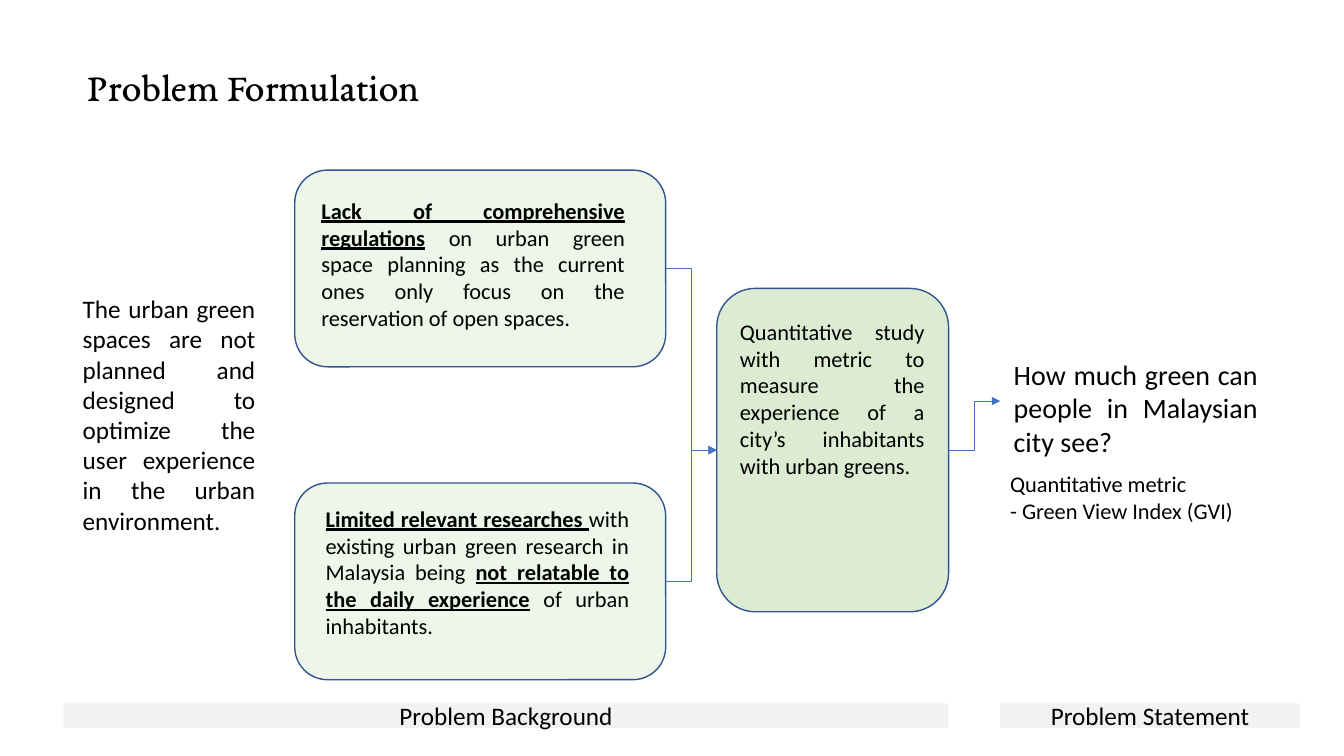
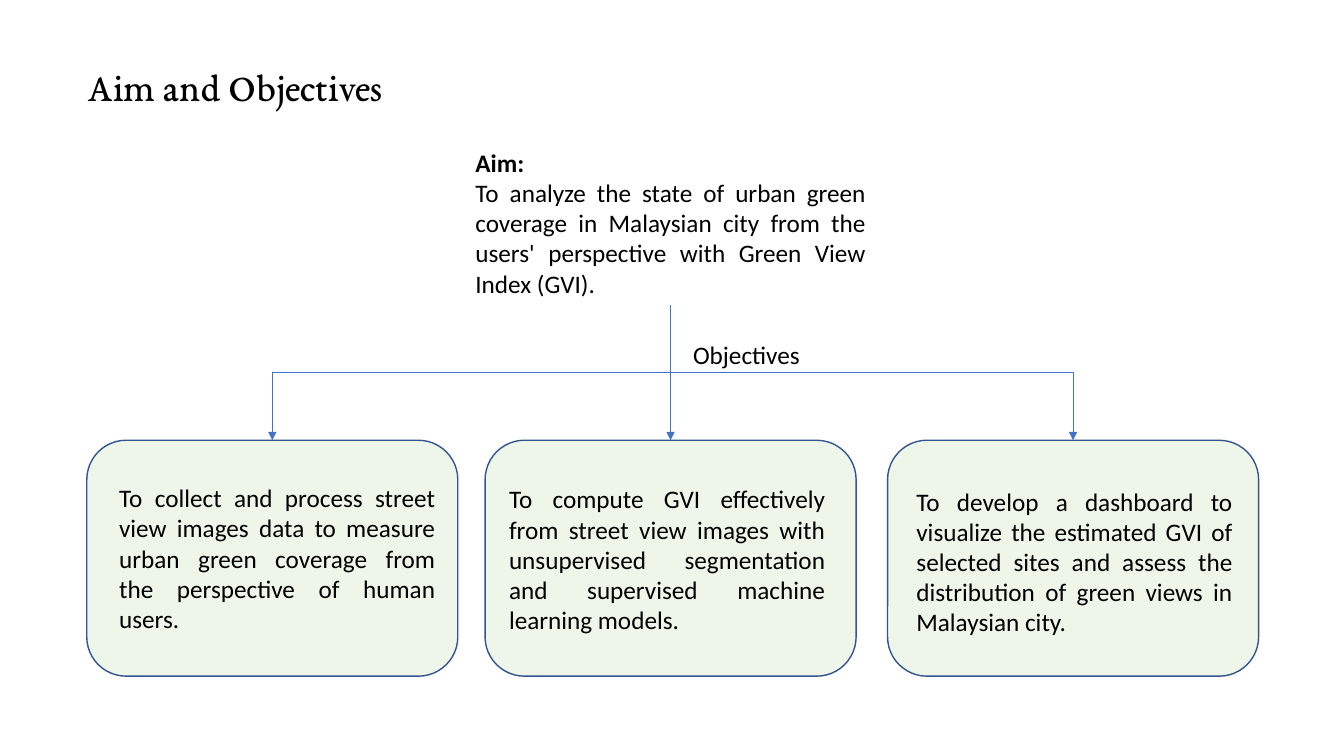
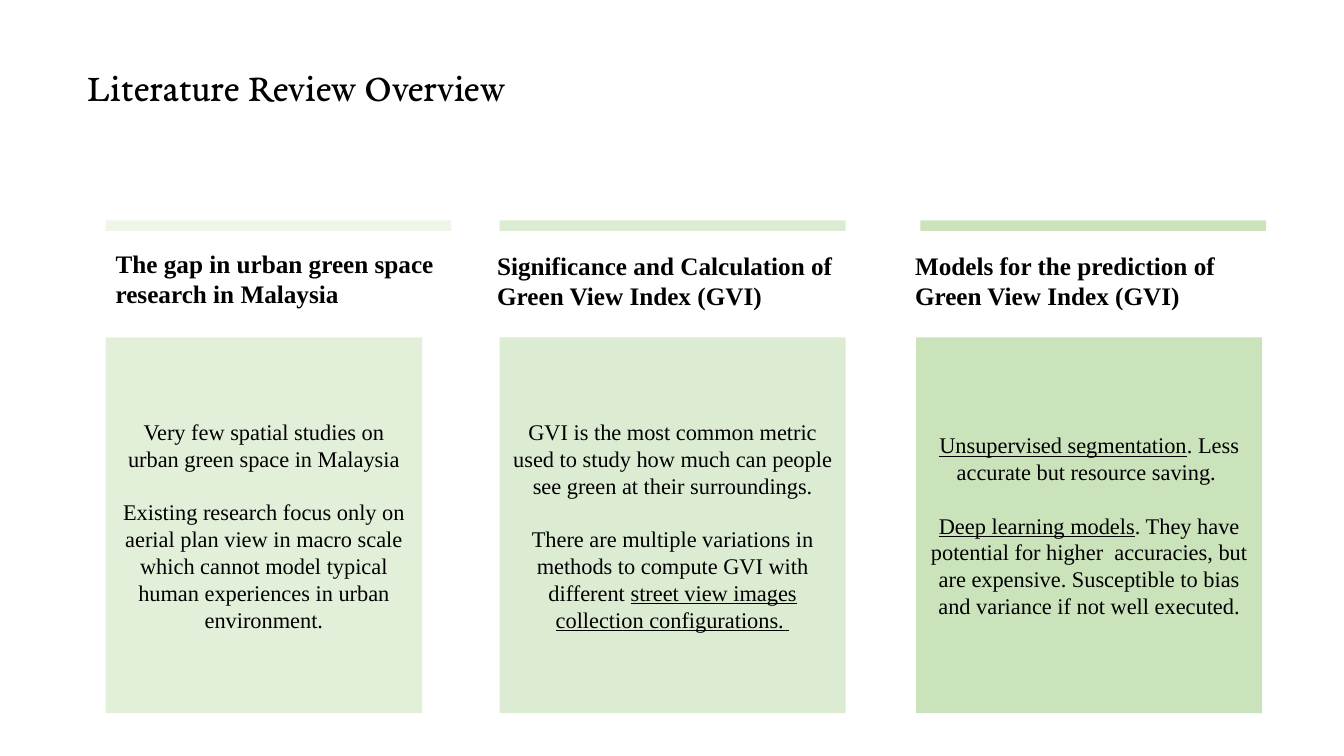
"""Build three slides on a Green View Index study of urban greenery."""
from lxml.etree import SubElement
from pptx import Presentation
from pptx.dml.color import RGBColor as RGB
from pptx.enum.shapes import MSO_CONNECTOR as CONN, MSO_SHAPE as SHAPE
from pptx.enum.text import MSO_ANCHOR as ANCHOR, MSO_AUTO_SIZE as FIT, PP_ALIGN as ALIGN
from pptx.oxml.ns import qn
from pptx.util import Pt

COLORS = {
    "text": "000000", "outline": "325491", "arrow": "4472C4", "label": "F2F2F2",
    "pale": "E2F0D9", "light": "C5E0B4", "mid": "A9D18E",
}
TITLE = {"name": "EB Garamond", "size": Pt(28)}
SMALL = {"name": "Calibri", "size": Pt(16)}
BODY = {"name": "Calibri", "size": Pt(18)}
LARGE = {"name": "Calibri", "size": Pt(20)}
SERIF = {"name": "Times New Roman", "size": Pt(16)}
HEADING = {"name": "Times New Roman", "size": Pt(18), "bold": True}
STRONG = {"bold": True, "underline": True}
UNDER = {"underline": True}
BOLD = {"bold": True}


def rgb(name):
    """Return a palette colour."""
    return RGB.from_string(COLORS[name])


def write(tf, paragraphs, fmt, align=ALIGN.LEFT, gap=0):
    """Fill a text frame; each paragraph is a list of (text, extra format) runs."""
    tf.word_wrap = True
    for i, runs in enumerate(paragraphs):
        p = tf.add_paragraph() if i else tf.paragraphs[0]
        p.alignment = align
        if i and gap:
            p.space_before = Pt(gap)
        for text, extra in runs:
            r = p.add_run()
            r.text = text
            for key, value in {**fmt, **extra}.items():
                setattr(r.font, key, value)
            r.font.color.rgb = rgb("text")


def add_text(s, box, paragraphs, fmt, align=ALIGN.JUSTIFY):
    """Add a wrapped text box that grows with its text."""
    sp = s.shapes.add_textbox(*map(Pt, box))
    write(sp.text_frame, paragraphs, fmt, align)
    sp.text_frame.auto_size = FIT.SHAPE_TO_FIT_TEXT
    return sp


def add_box(s, kind, box, color, alpha=None, outline=False):
    """Add a filled shape, optionally translucent or outlined."""
    sp = s.shapes.add_shape(kind, *map(Pt, box))
    sp.shadow.inherit = False
    sp.fill.solid()
    sp.fill.fore_color.rgb = rgb(color)
    if alpha:
        clr = sp._element.spPr.find(qn("a:solidFill")).find(qn("a:srgbClr"))
        SubElement(clr, qn("a:alpha"), val=str(alpha * 1000))
    if outline:
        sp.line.color.rgb = rgb("outline")
        sp.line.width = Pt(1)
    else:
        sp.line.fill.background()
    return sp


def add_card(s, box, color="pale"):
    """Add a translucent rounded card."""
    return add_box(s, SHAPE.ROUNDED_RECTANGLE, box, color, 60, True)


def add_arrow(s, kind, start, end):
    """Add a thin connector with an arrowhead at its end."""
    c = s.shapes.add_connector(kind, *map(Pt, (*start, *end)))
    c.line.color.rgb = rgb("arrow")
    c.line.width = Pt(0.5)
    SubElement(c.line._get_or_add_ln(), qn("a:tailEnd"), type="triangle")
    SubElement(c._element.spPr, qn("a:effectLst"))
    return c


def add_drop(s, start, end):
    """Add an elbow arrow that leaves downward, crosses over and drops."""
    (x0, y0), (x1, y1) = start, end
    cx, cy = (x0 + x1) / 2, (y0 + y1) / 2
    half_w, half_h = (y1 - y0) / 2, abs(x1 - x0) / 2
    side = 1 if x1 < x0 else -1
    c = add_arrow(s, CONN.ELBOW, (cx - side * half_w, cy - half_h),
                  (cx + side * half_w, cy + half_h))
    c.rotation = 90 if side == 1 else 270


def add_slide(prs, title):
    """Add a slide with the shared title style."""
    s = prs.slides.add_slide(prs.slide_layouts[5])
    sp = s.shapes.title
    sp.left, sp.top, sp.width, sp.height = map(Pt, (55.5, 40.5, 601, 41))
    write(sp.text_frame, [[(title, {})]], TITLE)
    sp.text_frame.auto_size = FIT.NONE
    sp.text_frame.vertical_anchor = ANCHOR.MIDDLE
    return s


def add_label(s, x, w, text):
    """Add a grey section label along the foot of the slide."""
    sp = add_box(s, SHAPE.RECTANGLE, (x, 502.5, w, 17.5), "label")
    write(sp.text_frame, [[(text, {})]], BODY, ALIGN.CENTER)
    sp.text_frame.vertical_anchor = ANCHOR.MIDDLE


def problem_slide(prs):
    """Build the flow from background problems to the problem statement."""
    s = add_slide(prs, "Problem Formulation")
    add_text(s, (52, 206, 137.5, 181.5), [[(
        "The urban green spaces are not planned and designed to optimize the user "
        "experience in the urban environment. ", {})]], BODY)
    study_x, study_y, study_w, study_h = study_box = (512, 206, 165.6, 231)
    study_mid = study_y + study_h / 2
    study = add_card(s, study_box, "light")
    add_text(s, (study_x + 9.5, study_y + 17.5, 146, 124), [[(
        "Quantitative study with metric to measure the experience of a city’s "
        "inhabitants with urban greens. ", {})]], SMALL)
    causes = [
        (121.5, 12, 15.5, [
            ("Lack of comprehensive regulations", STRONG), (" ", BOLD),
            ("on urban green space planning as the current ones only focus on the "
             "reservation of open spaces. ", {})]),
        (345, 15, 12, [
            ("Limited relevant researches ", STRONG),
            ("with existing urban green research in Malaysia being ", {}),
            ("not relatable to the daily experience", STRONG),
            (" of urban inhabitants. ", {})]),
    ]
    x, w, h = 210.5, 265, 140.5
    for y, dx, dy, runs in causes:
        card = add_card(s, (x, y, w, h))
        add_text(s, (x + dx, y + dy, 231, 104.5), [runs], SMALL)
        c = add_arrow(s, CONN.ELBOW, (x + w, y + h / 2), (study_x, study_mid))
        c.begin_connect(card, 3)
        c.end_connect(study, 1)
    c = add_arrow(s, CONN.ELBOW, (study_x + study_w, study_mid), (714.5, 286.5))
    c.begin_connect(study, 3)
    add_text(s, (717, 251.5, 188.5, 80),
             [[("How much green can people in Malaysian city see? ", {})]], LARGE)
    add_text(s, (714.5, 332, 201.5, 46),
             [[("Quantitative metric", {})], [("- Green View Index (GVI)", {})]],
             SMALL, ALIGN.LEFT)
    add_label(s, 45.5, 632, "Problem Background")
    add_label(s, 714.5, 214, "Problem Statement")


def aim_slide(prs):
    """Build the tree from the aim to its three objectives."""
    s = add_slide(prs, "Aim and Objectives")
    x, y, w, h = 332.5, 101.5, 293, 116.5
    aim = add_text(s, (x, y, w, h), [[("Aim:", BOLD)], [(
        "To analyze the state of urban green coverage in Malaysian city from the "
        "users' perspective with Green View Index (GVI). ", {})]], BODY)
    root = (x + w / 2, y + h)
    objectives = [
        (62, 16, 26.5, "To collect and process street view images data to measure urban "
         "green coverage from the perspective of human users. "),
        (346.5, 10, 27.5, "To compute GVI effectively from street view images with "
         "unsupervised segmentation and supervised machine learning models. "),
        (634, 13.5, 29, "To develop a dashboard to visualize the estimated GVI of selected "
         "sites and assess the distribution of green views in Malaysian city."),
    ]
    card_y, card_w, card_h = 314.5, 265, 168.5
    for card_x, dx, dy, text in objectives:
        card = add_card(s, (card_x, card_y, card_w, card_h))
        add_text(s, (card_x + dx, card_y + dy, 240, 116.5), [[(text, {})]], BODY)
        tip = (card_x + card_w / 2, card_y)
        if abs(tip[0] - root[0]) < 1:
            c = add_arrow(s, CONN.STRAIGHT, root, tip)
            c.begin_connect(aim, 2)
            c.end_connect(card, 0)
        else:
            add_drop(s, root, tip)
    add_text(s, (488, 239, 93.5, 29), [[("Objectives", {})]], BODY, ALIGN.LEFT)


def add_topic(s, bar, heading, card, title, paragraphs, color, alpha):
    """Add a review column: colour bar, heading and text card."""
    add_box(s, SHAPE.RECTANGLE, bar, color, 60)
    add_text(s, heading, [[(title, {})]], HEADING, ALIGN.LEFT)
    sp = add_box(s, SHAPE.RECTANGLE, card, color, alpha)
    write(sp.text_frame, paragraphs, SERIF, ALIGN.CENTER, gap=19)
    sp.text_frame.vertical_anchor = ANCHOR.MIDDLE


def review_slide(prs):
    """Build the three columns of the literature review."""
    s = add_slide(prs, "Literature Review Overview")
    topics = [
        (75.5, 75.5, 174, 75.5, 226, "pale", None,
         "The gap in urban green space research in Malaysia", [
             [("Very few spatial studies on urban green space in Malaysia", {})],
             [("Existing research focus only on aerial plan view in macro scale which "
               "cannot model typical human experiences in urban environment.", {})]]),
        (357, 348, 175, 357, 247, "light", 60,
         "Significance and Calculation of Green View Index (GVI)", [
             [("GVI is the most common metric used to study how much can people see "
               "green at their surroundings.", {})],
             [("There are multiple variations in methods to compute GVI with different ",
               {}),
              ("street view images collection configurations. ", UNDER)]]),
        (657.5, 646.5, 175, 654.5, 247, "mid", 60,
         "Models for the prediction of Green View Index (GVI)", [
             [("Unsupervised segmentation", UNDER),
              (". Less accurate but resource saving. ", {})],
             [("Deep learning models", UNDER),
              (". They have potential for higher  accuracies, but are expensive. "
               "Susceptible to bias and variance if not well executed.", {})]]),
    ]
    for bar_x, head_x, head_y, card_x, card_w, color, alpha, title, paragraphs in topics:
        add_topic(s, (bar_x, 157.5, 247, 7.5), (head_x, head_y, 264, 51),
                  (card_x, 241, card_w, 268.5), title, paragraphs, color, alpha)


def main():
    """Build and save the presentation."""
    prs = Presentation()
    prs.slide_width, prs.slide_height = Pt(960), Pt(540)
    for build in (problem_slide, aim_slide, review_slide):
        build(prs)
    prs.save("out.pptx")


if __name__ == "__main__":
    main()
